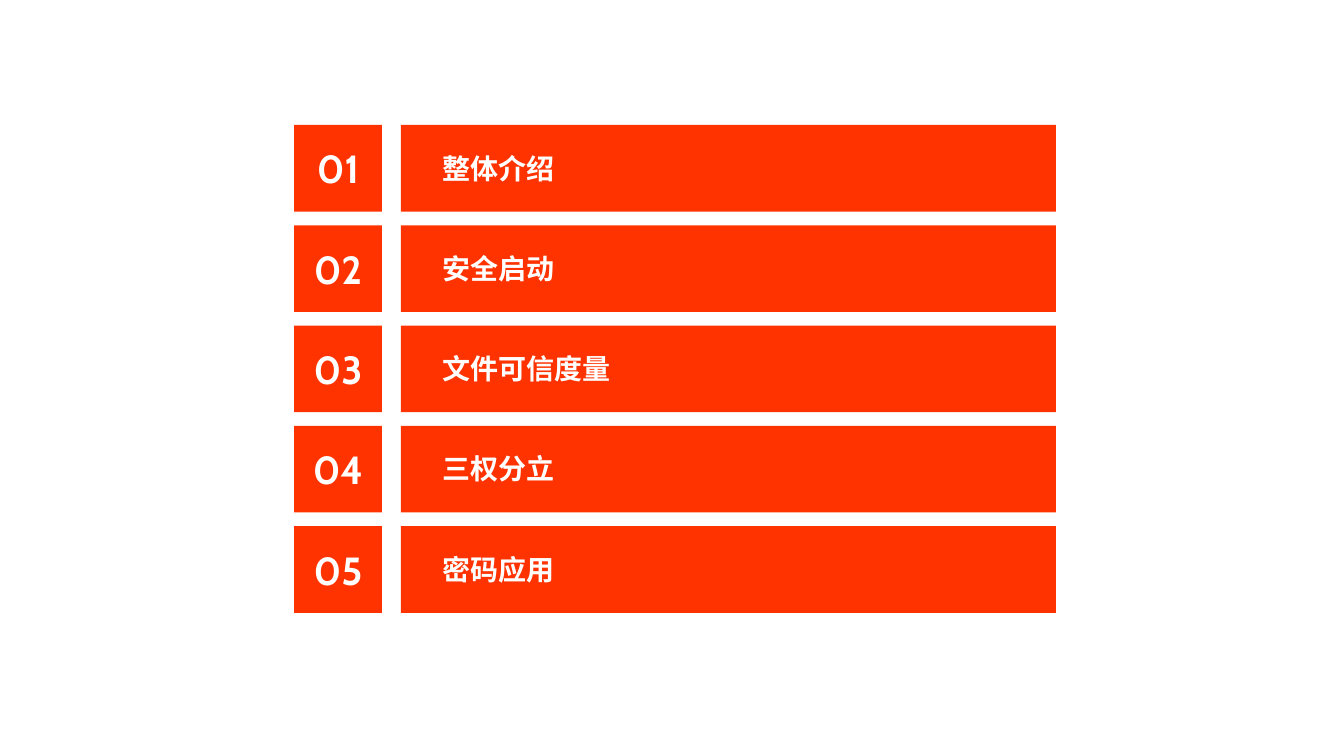
from lxml import etree
from pptx import Presentation
from pptx.dml.color import RGBColor
from pptx.enum.shapes import MSO_SHAPE
from pptx.enum.text import MSO_ANCHOR, MSO_AUTO_SIZE, PP_ALIGN
from pptx.oxml.ns import qn
from pptx.util import Emu, Pt

RECT = MSO_SHAPE.RECTANGLE
TOP, MIDDLE = MSO_ANCHOR.TOP, MSO_ANCHOR.MIDDLE
LEFT, CENTER = PP_ALIGN.LEFT, PP_ALIGN.CENTER
GROW = MSO_AUTO_SIZE.SHAPE_TO_FIT_TEXT

SCALE = 4572  # EMU per px, 200 px to the inch
COLORS = {"block": "FF3300", "text": "FFFFFF"}
TOPICS = ["整体介绍", "安全启动", "文件可信度量", "三权分立", "密码应用"]


def px(n):
    return Emu(n * SCALE)


def add_rect(group, x, y, w, h):
    rect = group.shapes.add_shape(RECT, px(x), px(y), px(w), px(h))
    rect.shadow.inherit = False
    rect.fill.solid()
    rect.fill.fore_color.rgb = RGBColor.from_string(COLORS["block"])
    rect.line.fill.background()
    return rect


def add_text(rect, text, font, size, align, anchor):
    frame = rect.text_frame
    frame.word_wrap = True
    frame.vertical_anchor = anchor
    para = frame.paragraphs[0]
    para.alignment = align
    run = para.add_run()
    run.text = text
    run.font.size = Pt(size)
    run.font.bold = True
    run.font.color.rgb = RGBColor.from_string(COLORS["text"])
    run.font.name = font
    etree.SubElement(run.font._element, qn("a:ea"), typeface=font)


def add_row(slide, num, topic, x, y, w, h):
    """Group a number tile with the bar and label of its topic."""
    group = slide.shapes.add_group_shape()
    add_rect(group, x + 212, y, w - 212, h)
    label = add_rect(group, x + 274, y + 42, 940, 88)
    add_text(label, topic, "Noto Sans CJK SC", 20, LEFT, TOP)
    label.text_frame.auto_size = GROW
    tile = add_rect(group, x, y, 174, h)
    add_text(tile, f"{num:02}", "Cabin", 28, CENTER, MIDDLE)


def add_agenda(slide, x, y, w, h):
    row = 172
    step = (h - row) // (len(TOPICS) - 1)
    for i, topic in enumerate(TOPICS):
        add_row(slide, i + 1, topic, x, y + i * step, w, row)


def main():
    deck = Presentation()
    deck.slide_width, deck.slide_height = px(2668), px(1500)
    slide = deck.slides.add_slide(deck.slide_layouts[6])
    add_agenda(slide, 584, 248, 1512, 968)
    deck.save("out.pptx")


if __name__ == "__main__":
    main()
